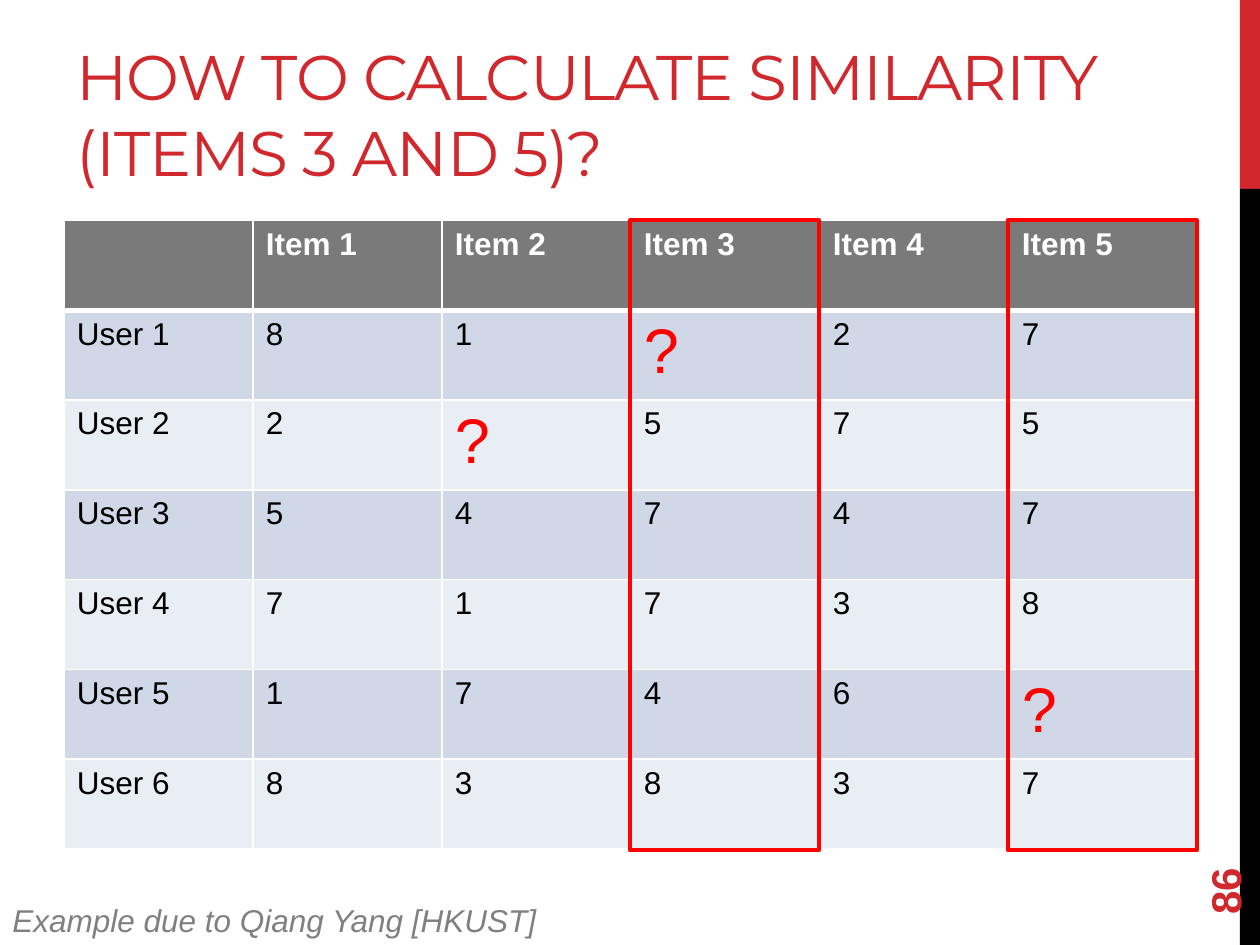
from lxml import etree
from pptx import Presentation
from pptx.dml.color import RGBColor
from pptx.enum import shapes, text
from pptx.oxml.ns import qn
from pptx.util import Inches, Pt

RED = RGBColor(0xD1, 0x28, 0x2E)
BRIGHT_RED = RGBColor(0xFF, 0x00, 0x00)
BLACK = RGBColor(0x00, 0x00, 0x00)
WHITE = RGBColor(0xFF, 0xFF, 0xFF)
GRAY = RGBColor(0x80, 0x80, 0x80)
HEADER_GRAY = RGBColor(0x7A, 0x7A, 0x7A)
BANDS = (RGBColor(0xD0, 0xD8, 0xE8), RGBColor(0xE9, 0xED, 0xF4))

TABLE_LEFT, TABLE_TOP = 0.51, 1.75
COLUMN_WIDTH, TABLE_HEIGHT = 1.5, 4.99
RATINGS = (
    "81?27",
    "2?575",
    "54747",
    "71738",
    "1746?",
    "83837",
)


def add_run(paragraph, wording, size, color, font="Arial", bold=False, italic=False):
    """Append a formatted run to a paragraph."""
    run = paragraph.add_run()
    run.text = wording
    run.font.name = font
    run.font.size = Pt(size)
    run.font.bold = bold
    run.font.italic = italic
    run.font.color.rgb = color
    return run


def add_rectangle(slide, left, top, width, height, fill=None, line=None):
    """Add a rectangle that is either filled or outlined."""
    shape = slide.shapes.add_shape(
        shapes.MSO_SHAPE.RECTANGLE,
        Inches(left), Inches(top), Inches(width), Inches(height),
    )
    shape.shadow.inherit = False
    if fill is None:
        shape.fill.background()
    else:
        shape.fill.solid()
        shape.fill.fore_color.rgb = fill
    if line is None:
        shape.line.fill.background()
    else:
        shape.line.color.rgb = line
        shape.line.width = Pt(2.25)


def add_text(slide, left, top, width, height, wording, size, color,
             anchor=text.MSO_ANCHOR.TOP, wrap=True, rotation=0, spacing=None, **style):
    """Add a one-paragraph text box."""
    shape = slide.shapes.add_textbox(
        Inches(left), Inches(top), Inches(width), Inches(height)
    )
    shape.rotation = rotation
    frame = shape.text_frame
    frame.word_wrap = wrap
    frame.vertical_anchor = anchor
    run = add_run(frame.paragraphs[0], wording, size, color, **style)
    if spacing is not None:
        run.font._element.set("spc", str(round(spacing * 100)))


def set_borders(cell, top=1, bottom=1):
    """Give a cell white borders, ahead of its fill."""
    properties = cell._tc.get_or_add_tcPr()
    widths = (("lnL", 1), ("lnR", 1), ("lnT", top), ("lnB", bottom))
    for position, (side, width) in enumerate(widths):
        line = etree.Element(qn(f"a:{side}"), w=str(Pt(width)))
        fill = etree.SubElement(line, qn("a:solidFill"))
        etree.SubElement(fill, qn("a:srgbClr"), val=str(WHITE))
        properties.insert(position, line)


def add_ratings_table(slide):
    """Add the table of user ratings per item."""
    header = [""] + [f"Item {number}" for number in range(1, 6)]
    rows = [header] + [
        [f"User {number}", *ratings] for number, ratings in enumerate(RATINGS, 1)
    ]
    table = slide.shapes.add_table(
        len(rows), len(header), Inches(TABLE_LEFT), Inches(TABLE_TOP),
        Inches(COLUMN_WIDTH * len(header)), Inches(TABLE_HEIGHT),
    ).table
    for row_index, row in enumerate(rows):
        is_header = row_index == 0
        for column_index, wording in enumerate(row):
            cell = table.cell(row_index, column_index)
            cell.fill.solid()
            cell.fill.fore_color.rgb = (
                HEADER_GRAY if is_header else BANDS[(row_index - 1) % 2]
            )
            set_borders(cell, top=3 if row_index == 1 else 1, bottom=3 if is_header else 1)
            paragraph = cell.text_frame.paragraphs[0]
            if wording == "?":
                add_run(paragraph, wording, 36, BRIGHT_RED)
            elif wording:
                add_run(paragraph, wording, 18, WHITE if is_header else BLACK, bold=is_header)


def main():
    """Build the slide and save it."""
    presentation = Presentation()
    presentation.slide_width = Inches(10)
    presentation.slide_height = Inches(7.5)
    slide = presentation.slides.add_slide(presentation.slide_layouts[6])

    add_rectangle(slide, 9.84, 0, 0.16, 1.5, fill=RED)
    add_rectangle(slide, 9.84, 1.5, 0.16, 6, fill=BLACK)
    add_text(slide, 0.51, 0.3, 9, 1.25, "HOW TO CALCULATE SIMILARITY (ITEMS 3 AND 5)?",
             36, RED, anchor=text.MSO_ANCHOR.BOTTOM, spacing=-0.6, font="Montserrat")
    add_ratings_table(slide)
    for left in (5, 8):
        add_rectangle(slide, left, TABLE_TOP, COLUMN_WIDTH, 5, line=BRIGHT_RED)
    add_text(slide, 9, 6.44, 1.44, 0.4, "86", 24, RED,
             anchor=text.MSO_ANCHOR.MIDDLE, rotation=270, bold=True)
    add_text(slide, 0, 7.1, 4.4, 0.4, "Example due to Qiang Yang [HKUST]",
             18, GRAY, wrap=False, italic=True)

    presentation.save("out.pptx")


if __name__ == "__main__":
    main()
